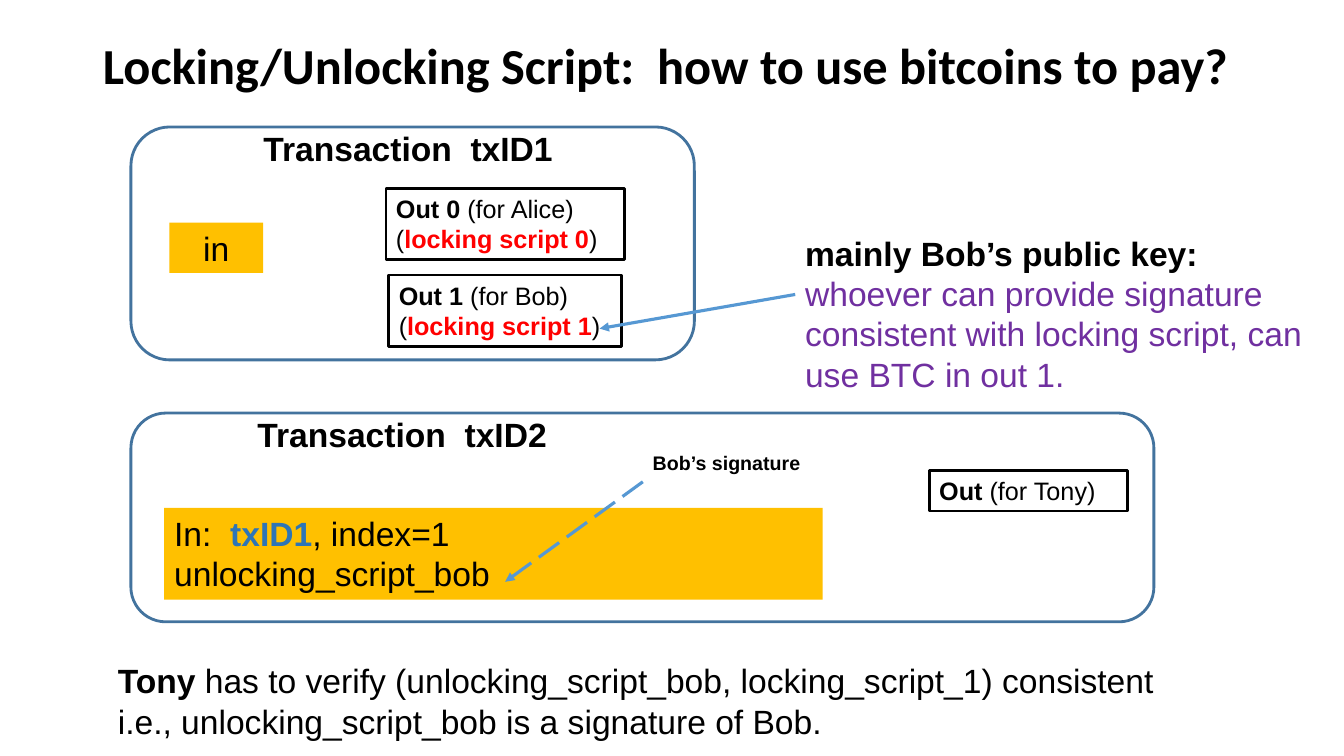
from lxml.etree import SubElement
from pptx import Presentation
from pptx.dml.color import RGBColor
from pptx.enum.dml import MSO_LINE
from pptx.enum.shapes import MSO_CONNECTOR, MSO_SHAPE
from pptx.enum.text import MSO_ANCHOR, MSO_AUTO_SIZE, PP_ALIGN
from pptx.oxml.ns import qn
from pptx.util import Cm, Pt

BLACK, WHITE, RED = "000000", "FFFFFF", "FF0000"
GOLD, PURPLE, BLUE = "FFC000", "7030A0", "2E75B6"
EDGE, ARROW = "43739E", "5698D3"


def paint(target, color):
    target.rgb = RGBColor.from_string(color)


def write(shape, lines, size, align=PP_ALIGN.LEFT, font="Arial"):
    """Fill a shape with lines, each a list of (text, bold, color) runs."""
    frame = shape.text_frame
    frame.word_wrap = True
    frame.auto_size = MSO_AUTO_SIZE.NONE
    frame.vertical_anchor = MSO_ANCHOR.TOP
    for i, runs in enumerate(lines):
        para = frame.paragraphs[0] if i == 0 else frame.add_paragraph()
        para.alignment = align
        para.font.name, para.font.size = font, Pt(size)
        for text, bold, color in runs:
            run = para.add_run()
            run.text = text
            run.font.bold = bold
            paint(run.font.color, color)


def add_label(slide, box, lines, size, align=PP_ALIGN.LEFT):
    label = slide.shapes.add_textbox(*map(Cm, box))
    write(label, lines, size, align)


def add_box(slide, box, fill, edge=None, kind=MSO_SHAPE.RECTANGLE):
    shape = slide.shapes.add_shape(kind, *map(Cm, box))
    shape.shadow.inherit = False
    shape.fill.solid()
    paint(shape.fill.fore_color, fill)
    if edge:
        paint(shape.line.color, edge)
        shape.line.width = Pt(2)
    else:
        shape.line.fill.background()
    return shape


def add_arrow(slide, start, end, dash=None):
    arrow = slide.shapes.add_connector(
        MSO_CONNECTOR.STRAIGHT, *map(Cm, (*start, *end)))
    paint(arrow.line.color, ARROW)
    arrow.line.width = Pt(2.25)
    if dash:
        arrow.line.dash_style = dash
    props = arrow.element.spPr
    SubElement(props.find(qn("a:ln")), qn("a:tailEnd"), type="triangle")
    SubElement(props, qn("a:effectLst"))


def add_title(slide, box, text):
    title = slide.shapes.title
    title.left, title.top, title.width, title.height = map(Cm, box)
    write(title, [[(text, True, BLACK)]], 36, font="Calibri")
    title.text_frame.vertical_anchor = MSO_ANCHOR.MIDDLE
    title.text_frame.paragraphs[0].line_spacing = 0.9


def add_frame(slide, box, name, shift):
    """Draw a rounded transaction frame, its name shifted from the left."""
    x, y, _, _ = box
    add_box(slide, box, WHITE, EDGE, MSO_SHAPE.ROUNDED_RECTANGLE)
    add_label(slide, (x + shift, y - 0.1, 8.79, 1.27),
              [[(f"Transaction  {name}", True, BLACK)]], 24, PP_ALIGN.CENTER)


def add_output(slide, box, name, owner, script=None):
    lines = [[(name, True, BLACK), (f" (for {owner})", False, BLACK)]]
    if script:
        lines.append([("(", False, BLACK), (script, True, RED),
                      (")", False, BLACK)])
    write(add_box(slide, box, WHITE, BLACK), lines, 18)


def add_first(slide, box):
    x, y, _, _ = box
    add_frame(slide, box, "txID1", 2.59)
    source = add_box(slide, (x + 0.97, y + 2.41, 2.36, 1.27), GOLD)
    write(source, [[("in", False, BLACK)]], 24, PP_ALIGN.CENTER)
    add_output(slide, (x + 6.43, y + 1.55, 6.02, 1.8),
               "Out 0", "Alice", "locking script 0")
    add_output(slide, (x + 6.5, y + 3.73, 5.87, 1.8),
               "Out 1", "Bob", "locking script 1")


def add_note(slide, box):
    """Explain the locking script and point at it."""
    x, y, _, _ = box
    add_arrow(slide, (x, y + 1.68), (x - 4.93, y + 2.54))
    add_label(slide, box, [
        [("mainly Bob’s public key:", True, BLACK)],
        [("whoever can provide signature consistent with locking script, "
          "can use BTC in out 1.", False, PURPLE)]], 24)


def add_second(slide, box):
    x, y, _, _ = box
    add_frame(slide, box, "txID2", 2.44)
    source = add_box(slide, (x + 0.84, y + 2.39, 16.59, 2.31), GOLD)
    write(source, [
        [("In:  ", False, BLACK), ("txID1", True, BLUE),
         (", index=1", False, BLACK)],
        [("unlocking_script_bob", False, BLACK)]], 24)
    add_output(slide, (x + 20.12, y + 1.45, 5, 1.02), "Out", "Tony")
    add_label(slide, (x + 12.9, y + 0.82, 4.32, 0.86),
              [[("Bob’s signature", True, BLACK)]], 14)
    add_arrow(slide, (x + 12.9, y + 1.73), (x + 9.43, y + 4.25),
              MSO_LINE.LONG_DASH)


def add_check(slide, box):
    add_label(slide, box, [
        [("Tony", True, BLACK),
         (" has to verify (unlocking_script_bob, locking_script_1) consistent",
          False, BLACK)],
        [("i.e., unlocking_script_bob is a signature of Bob.",
          False, BLACK)]], 24)


def main():
    deck = Presentation()
    deck.slide_width, deck.slide_height = Cm(33.87), Cm(19.05)
    slide = deck.slides.add_slide(deck.slide_layouts[5])
    add_title(slide, (2.34, -0.1, 30.45, 3.66),
              "Locking/Unlocking Script:  how to use bitcoins to pay?")
    add_first(slide, (3.3, 3.2, 14.2, 5.87))
    add_note(slide, (20.04, 5.74, 13.39, 4.37))
    add_second(slide, (3.3, 10.41, 25.78, 5.26))
    add_check(slide, (2.72, 16.51, 28.47, 2.31))
    deck.save("out.pptx")


if __name__ == "__main__":
    main()
